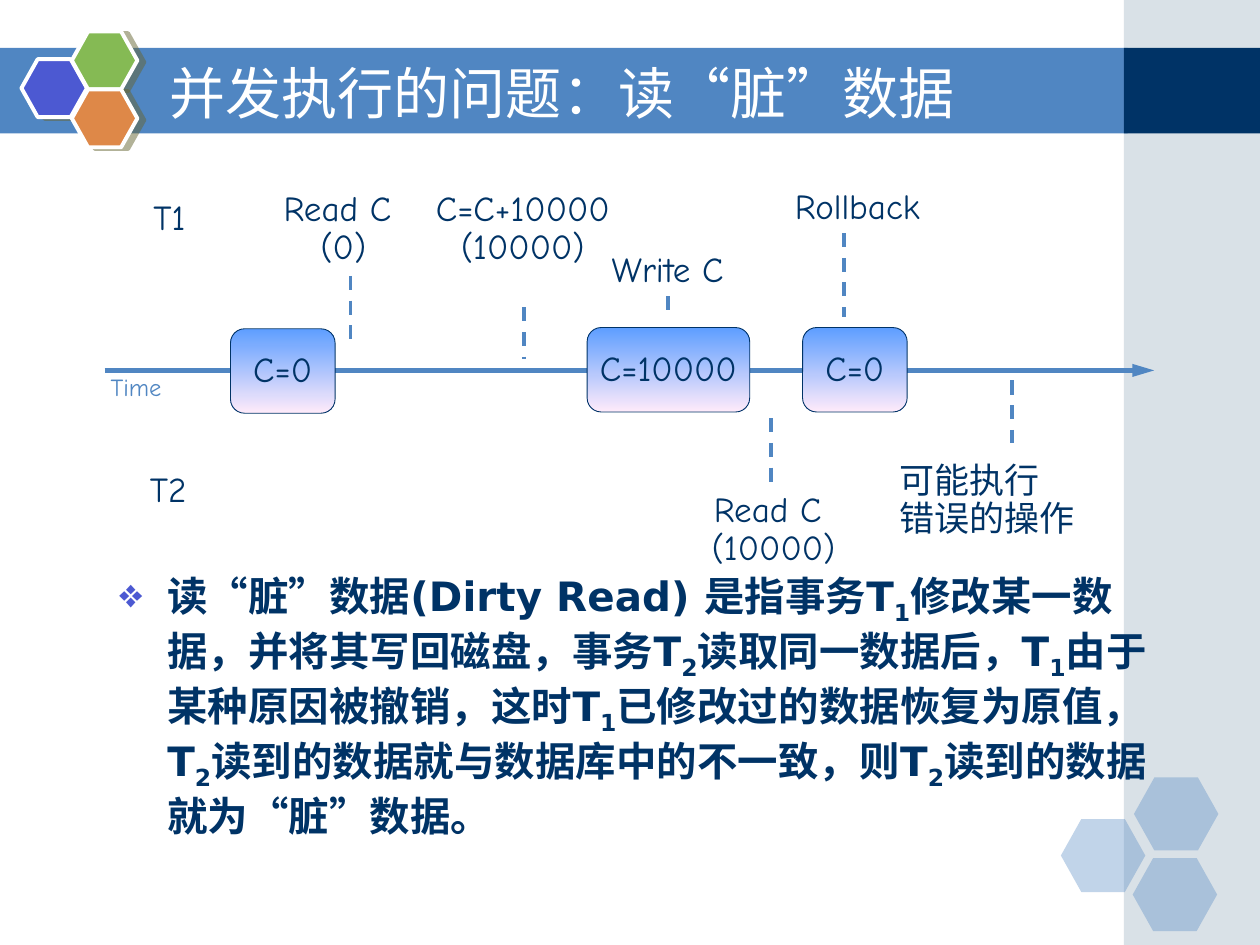
"""Build a slide that explains the dirty read problem on a timeline."""
from dataclasses import dataclass

from lxml.etree import SubElement
from pptx import Presentation
from pptx.dml.color import RGBColor as Rgb
from pptx.enum.dml import MSO_LINE as Dash
from pptx.enum.shapes import MSO_CONNECTOR as Link, MSO_SHAPE as Kind
from pptx.enum.text import MSO_ANCHOR as Anchor, MSO_AUTO_SIZE as Fit, PP_ALIGN as Align
from pptx.oxml.ns import qn
from pptx.util import Inches, Pt


@dataclass(frozen=True)
class Theme:
    navy: str = "003366"
    blue: str = "5086C2"
    side: str = "A0B5C4"
    white: str = "FFFFFF"
    indigo: str = "4C59D2"
    green: str = "85BA54"
    orange: str = "DE8848"
    shade: str = "666633"
    box_top: str = "5E9EFF"
    box_bottom: str = "FFEBFA"
    heading_font: str = "DejaVu Sans"
    label_font: str = "Comic Neue"
    title_size: float = 32
    body_size: float = 23.1
    label_size: float = 20
    small_size: float = 14


THEME = Theme()


def add_xml(parent, tag, **attributes):
    return SubElement(parent, qn(tag), {key: str(value) for key, value in attributes.items()})


def write_text(frame, text, font=THEME.label_font, size=THEME.label_size, color=THEME.navy,
               bold=False, align=Align.CENTER, spacing=0.9, anchor=Anchor.MIDDLE, wrap=False):
    frame.text = text
    frame.word_wrap = wrap
    frame.vertical_anchor = anchor
    for para in frame.paragraphs:
        para.alignment = align
        para.line_spacing = spacing
        for span in para.runs:
            style_span(span, font, size, color, bold)


def style_span(span, font, size, color, bold):
    span.font.name = font
    span.font.size = Pt(size)
    span.font.color.rgb = Rgb.from_string(color)
    span.font.bold = bold


class SlideBuilder:
    def __init__(self, slide, theme):
        self.shapes = slide.shapes
        self.theme = theme

    def shape(self, kind, left, top, width, height, color=None, opacity=100):
        shape = self.shapes.add_shape(kind, *map(Inches, (left, top, width, height)))
        shape.shadow.inherit = False
        shape.line.fill.background()
        if color:
            shape.fill.solid()
            shape.fill.fore_color.rgb = Rgb.from_string(color)
        if opacity < 100:
            tint = shape.fill._xPr.find(qn("a:solidFill"))[0]
            add_xml(tint, "a:alpha", val=opacity * 1000)
        return shape

    def hexagon(self, left, top, width, height, color, opacity=100):
        hexagon = self.shape(Kind.HEXAGON, left, top, width, height, color, opacity)
        hexagon.adjustments[0] = 0.28
        return hexagon

    def badge(self, left, top, color):
        badge = self.hexagon(left, top, 0.52, 0.46, color)
        badge.line.color.rgb = Rgb.from_string(self.theme.white)
        badge.line.width = Pt(2.25)
        effects = badge._element.spPr.find(qn("a:effectLst"))
        shadow = add_xml(effects, "a:outerShdw", blurRad=0, dist=Pt(4.1),
                         dir=14 * 60000, algn="ctr", rotWithShape=0)
        add_xml(add_xml(shadow, "a:srgbClr", val=self.theme.shade), "a:alpha", val=50000)

    def value_box(self, left, top, width, text):
        box = self.shape(Kind.ROUNDED_RECTANGLE, left, top, width, 0.67)
        box.fill.gradient()
        box.fill.gradient_angle = 270
        for stop, color in zip(box.fill.gradient_stops,
                               (self.theme.box_top, self.theme.box_bottom)):
            stop.color.rgb = Rgb.from_string(color)
        box.line.color.rgb = Rgb.from_string(self.theme.navy)
        box.line.width = Pt(0.5)
        write_text(box.text_frame, text)

    def text(self, left, top, width, height, text, grow=True, **style):
        box = self.shapes.add_textbox(*map(Inches, (left, top, width, height)))
        write_text(box.text_frame, text, **style)
        box.text_frame.auto_size = Fit.SHAPE_TO_FIT_TEXT if grow else Fit.NONE
        return box

    def bullet(self, left, top, width, height, text):
        """Write one bulleted paragraph in which every second part between bars is a subscript."""
        box = self.text(left, top, width, height, "", grow=False, wrap=True, anchor=Anchor.TOP)
        para = box.text_frame.paragraphs[0]
        para.alignment = Align.LEFT
        para.line_spacing = 1.0
        para.space_before = Pt(6.2)
        properties = para._p.get_or_add_pPr()
        properties.set("marL", str(Inches(0.38)))
        properties.set("indent", str(-Inches(0.38)))
        add_xml(add_xml(properties, "a:buClr"), "a:srgbClr", val=self.theme.indigo)
        add_xml(properties, "a:buChar", char="❖")
        for index, part in enumerate(text.split("|")):
            span = para.add_run()
            span.text = part
            style_span(span, self.theme.heading_font, self.theme.body_size, self.theme.navy, True)
            if index % 2:
                span.font._element.set("baseline", "-25000")

    def line(self, start, end, width=2):
        line = self.shapes.add_connector(Link.STRAIGHT, *map(Inches, (*start, *end)))
        line.line.color.rgb = Rgb.from_string(self.theme.blue)
        line.line.width = Pt(width)
        add_xml(line._element.spPr, "a:effectLst")
        return line

    def marker(self, x, top, bottom):
        marker = self.line((x, top), (x, bottom))
        marker.line.dash_style = Dash.DASH
        return marker

    def arrow(self, start, end):
        arrow = self.line(start, end, 2.5)
        add_xml(arrow.line._get_or_add_ln(), "a:tailEnd", type="triangle", len="lg")


def draw_background(page, theme):
    page.shape(Kind.RECTANGLE, 0, 0.38, 8.95, 0.68, theme.blue)
    page.shape(Kind.RECTANGLE, 8.92, 0, 1.08, 7.5, theme.side, 40)
    page.shape(Kind.RECTANGLE, 8.92, 0.38, 1.08, 0.68, theme.navy)
    for left, top in ((8.42, 6.5), (9, 6.17), (8.99, 6.81)):
        page.hexagon(left, top, 0.67, 0.58, theme.blue, 35)
    for left, top, color in ((0.17, 0.47, theme.indigo), (0.57, 0.25, theme.green),
                             (0.57, 0.71, theme.orange)):
        page.badge(left, top, color)


def draw_timeline(page, theme):
    page.text(1.06, 3.7, 0.55, 0.4, "T2")
    page.text(1.07, 1.54, 0.55, 0.4, "T1")
    page.arrow((0.83, 2.94), (9.16, 2.94))
    page.text(0.73, 2.93, 0.7, 0.31, "Time", size=theme.small_size, color=theme.blue)
    for left, top, width, value in ((1.83, 2.61, 0.83, "C=0"), (4.66, 2.6, 1.29, "C=10000"),
                                    (6.37, 2.6, 0.83, "C=0")):
        page.value_box(left, top, width, value)
    for left, top, width, height, label in (
        (5.55, 3.86, 1.18, 0.7, "Read C \v(10000)"),
        (2.15, 1.47, 1.15, 0.7, "Read C \v(0)"),
        (3.36, 1.47, 1.58, 0.7, "C=C+10000\n(10000)"),
        (6.21, 1.45, 1.19, 0.4, "Rollback"),
    ):
        page.text(left, top, width, height, label)
    page.text(7.04, 3.63, 1.59, 0.7, "可能执行\n错误的操作", align=Align.LEFT)
    write_label = page.text(4.75, 1.95, 1.1, 0.4, "Write C")
    page.marker(5.3, 2.35, 2.52).begin_connect(write_label, 2)
    for x, top, bottom in ((6.12, 3.32, 3.85), (2.78, 2.19, 2.69), (4.16, 2.44, 2.85),
                           (6.7, 1.85, 2.52), (8.03, 3.02, 3.52)):
        page.marker(x, top, bottom)


def main():
    deck = Presentation()
    deck.slide_width, deck.slide_height = Inches(10), Inches(7.5)
    page = SlideBuilder(deck.slides.add_slide(deck.slide_layouts[6]), THEME)
    draw_background(page, THEME)
    page.text(1.25, 0.42, 7.33, 0.62, "并发执行的问题：读“脏”数据", grow=False, wrap=True,
              font=THEME.heading_font, size=THEME.title_size, color=THEME.white,
              align=Align.LEFT, spacing=1.0)
    page.bullet(0.85, 4.48, 8.4, 2.33,
                "读“脏”数据(Dirty Read) 是指事务T|1|修改某一数据，并将其写回磁盘，事务T|2|"
                "读取同一数据后，T|1|由于某种原因被撤销，这时T|1|已修改过的数据恢复为原值，T|2|"
                "读到的数据就与数据库中的不一致，则T|2|读到的数据就为“脏”数据。")
    draw_timeline(page, THEME)
    deck.save("out.pptx")


if __name__ == "__main__":
    main()
